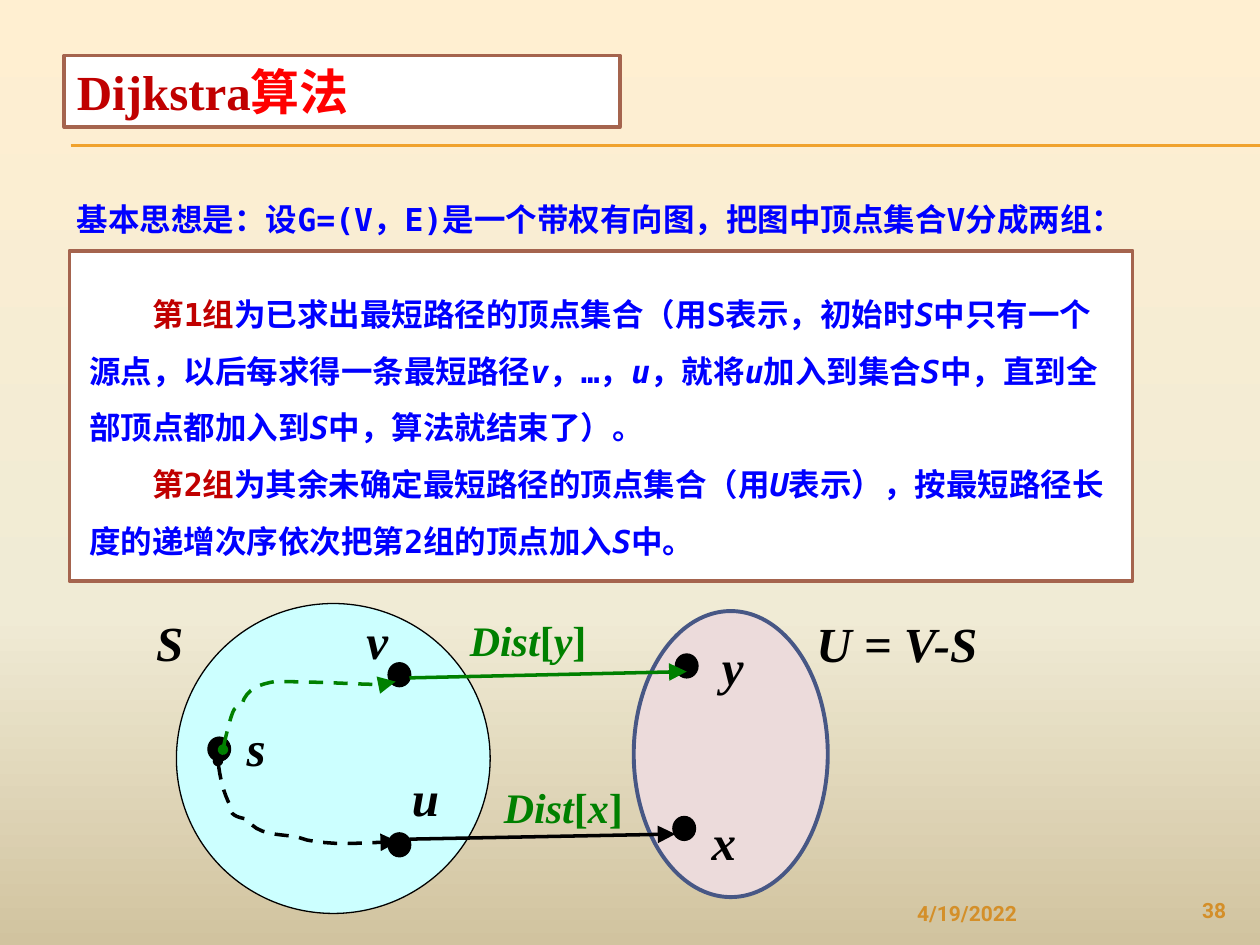
from copy import deepcopy
from dataclasses import dataclass

from pptx import Presentation
from pptx.dml.color import RGBColor
from pptx.enum.dml import MSO_LINE
from pptx.enum.shapes import MSO_CONNECTOR, MSO_SHAPE
from pptx.enum.text import MSO_ANCHOR, MSO_AUTO_SIZE, PP_ALIGN
from pptx.oxml.ns import qn
from pptx.util import Inches, Pt

WIDTH, HEIGHT = Inches(10), Inches(7.5)
COLUMNS, ROWS = 100, 75


@dataclass(frozen=True)
class Theme:
    serif: str = "Times New Roman"
    mono: str = "DejaVu Sans Mono"
    sans: str = "Roboto"
    title: int = 28
    intro: int = 18
    body: int = 18
    distance: int = 24
    footer: int = 12
    black: str = "000000"
    white: str = "FFFFFF"
    blue: str = "0000FF"
    red: str = "FF0000"
    dark_red: str = "C00000"
    green: str = "008000"
    frame: str = "A5644E"
    rule: str = "F0A22E"
    footer_color: str = "D48F29"
    solved: str = "CCFFFF"
    unsolved: str = "ECDBDB"
    unsolved_edge: str = "475785"
    background: tuple = ((0, "FFEFD1"), (0.65, "F0EBD5"), (1, "D1C39F"))


THEME = Theme()


def color(value):
    return RGBColor.from_string(value)


def across(columns):
    return round(columns * WIDTH / COLUMNS)


def down(rows):
    return round(rows * HEIGHT / ROWS)


def area(left, top, width, height):
    return across(left), down(top), across(width), down(height)


def paint_background(slide):
    fill = slide.background.fill
    fill.gradient()
    fill.gradient_angle = 270
    stop_list = slide.element.find(".//" + qn("a:gsLst"))
    stop_list.append(deepcopy(stop_list[0]))
    for stop, (position, value) in zip(fill.gradient_stops, THEME.background):
        stop.position = position
        stop.color.rgb = color(value)


def write_runs(paragraph, text, font, size, value):
    for index, part in enumerate(text.split("*")):
        if not part:
            continue
        run = paragraph.add_run()
        run.text = part
        run.font.name = font
        run.font.size = Pt(size)
        run.font.bold = True
        run.font.italic = index % 2 == 1
        run.font.color.rgb = color(value)
        east_asian = run.font._element.makeelement(qn("a:ea"), {"typeface": font})
        run.font._element.find(qn("a:latin")).addnext(east_asian)


def place_placeholder(placeholder, box, anchor=MSO_ANCHOR.TOP):
    placeholder.left, placeholder.top, placeholder.width, placeholder.height = area(*box)
    frame = placeholder.text_frame
    frame.word_wrap = True
    frame.auto_size = MSO_AUTO_SIZE.NONE
    frame.vertical_anchor = anchor
    return frame


def format_paragraph(paragraph, indent=0, spacing=1.5):
    properties = paragraph._p.get_or_add_pPr()
    properties.set("marL", "0")
    properties.set("indent", str(int(indent)))
    properties.append(properties.makeelement(qn("a:buNone"), {}))
    paragraph.alignment = PP_ALIGN.LEFT
    paragraph.space_before = Pt(0)
    paragraph.line_spacing = spacing


def frame_panel(shape):
    shape.fill.solid()
    shape.fill.fore_color.rgb = color(THEME.white)
    shape.line.color.rgb = color(THEME.frame)
    shape.line.width = Pt(2)


def add_label(slide, box, text, size=THEME.title, value=THEME.black,
              font=THEME.serif, align=PP_ALIGN.LEFT):
    frame = slide.shapes.add_textbox(*area(*box)).text_frame
    frame.word_wrap = True
    frame.vertical_anchor = MSO_ANCHOR.MIDDLE
    paragraph = frame.paragraphs[0]
    paragraph.alignment = align
    write_runs(paragraph, text, font, size, value)


def add_ellipse(slide, box, fill, edge=THEME.black, width=0.75):
    ellipse = slide.shapes.add_shape(MSO_SHAPE.OVAL, *area(*box))
    ellipse.shadow.inherit = False
    ellipse.fill.solid()
    ellipse.fill.fore_color.rgb = color(fill)
    ellipse.line.color.rgb = color(edge)
    ellipse.line.width = Pt(width)


def add_vertex(slide, left, top):
    add_ellipse(slide, (left, top, 1.8, 1.9), THEME.black)


def style_line(shape, value, width, head=None, tail=None):
    shape.line.color.rgb = color(value)
    shape.line.width = Pt(width)
    line = shape.line._get_or_add_ln()
    for tag, kind, size in (("a:headEnd", head, "med"), ("a:tailEnd", tail, "lg")):
        if kind:
            line.append(line.makeelement(qn(tag), {"type": kind, "w": size, "len": size}))


def add_line(slide, start, end, value, width, tail=None):
    connector = slide.shapes.add_connector(
        MSO_CONNECTOR.STRAIGHT, across(start[0]), down(start[1]), across(end[0]), down(end[1]))
    style_line(connector, value, width, tail=tail)
    properties = connector._element.spPr
    properties.append(properties.makeelement(qn("a:effectLst"), {}))


def bezier(points, share):
    while len(points) > 1:
        points = [tuple(a + (b - a) * share for a, b in zip(first, second))
                  for first, second in zip(points, points[1:])]
    return points[0]


def add_dashed_path(slide, points, value, steps=8):
    curve = [bezier(points[index:index + 4], step / steps)
             for index in range(0, len(points) - 1, 3) for step in range(1, steps + 1)]
    builder = slide.shapes.build_freeform(across(points[0][0]), down(points[0][1]))
    builder.add_line_segments([(across(x), down(y)) for x, y in curve], close=False)
    shape = builder.convert_to_shape()
    shape.shadow.inherit = False
    shape.fill.background()
    shape.line.dash_style = MSO_LINE.DASH
    style_line(shape, value, 2, "oval", "triangle")


def add_text(slide):
    title, intro, groups = slide.placeholders
    frame_panel(title)
    heading = place_placeholder(title, (5.1, 4.4, 44.1, 5.7), MSO_ANCHOR.MIDDLE).paragraphs[0]
    heading.alignment = PP_ALIGN.LEFT
    write_runs(heading, "Dijkstra", THEME.serif, THEME.title, THEME.dark_red)
    write_runs(heading, "算法", THEME.mono, THEME.title, THEME.red)

    paragraph = place_placeholder(intro, (5.1, 13.9, 91.3, 6.1)).paragraphs[0]
    format_paragraph(paragraph)
    write_runs(paragraph, "基本思想是：设G=(V，E)是一个带权有向图，把图中顶点集合V分成两组：",
               THEME.mono, THEME.intro, THEME.blue)

    frame_panel(groups)
    frame = place_placeholder(groups, (5.5, 19.9, 84.4, 26.2))
    frame.margin_left = frame.margin_right = across(1.6)
    frame.margin_top = frame.margin_bottom = down(2)
    descriptions = (
        ("第1组", "为已求出最短路径的顶点集合（用S表示，初始时*S*中只有一个源点，"
                "以后每求得一条最短路径*v*，…，*u*，就将*u*加入到集合*S*中，"
                "直到全部顶点都加入到*S*中，算法就结束了）。"),
        ("第2组", "为其余未确定最短路径的顶点集合（用*U*表示），"
                "按最短路径长度的递增次序依次把第2组的顶点加入*S*中。"),
    )
    for index, (lead, text) in enumerate(descriptions):
        paragraph = frame.add_paragraph() if index else frame.paragraphs[0]
        format_paragraph(paragraph, Pt(2 * THEME.body))
        write_runs(paragraph, lead, THEME.mono, THEME.body, THEME.dark_red)
        write_runs(paragraph, text, THEME.mono, THEME.body, THEME.blue)


def add_graph(slide):
    add_ellipse(slide, (50.3, 48.5, 15.4, 22.7), THEME.unsolved, THEME.unsolved_edge, 2.25)
    add_ellipse(slide, (14, 47.9, 24.9, 24.6), THEME.solved)
    for left, top in ((30.8, 52.6), (16.5, 58.5), (30.8, 66.1), (53.4, 64.8), (53.6, 51.9)):
        add_vertex(slide, left, top)
    add_dashed_path(slide, [
        (17.7, 59.5), (17.8, 59), (18.3, 56.7), (18.6, 56.3), (18.8, 56.1), (19, 56),
        (19.2, 55.9), (19.6, 54.6), (20.7, 54.3), (21.8, 54.1), (24.2, 54.1), (26.5, 54.2),
        (28.8, 54.3), (30.2, 54.3), (30.4, 54.6), (31.4, 54.1)], THEME.green)
    add_dashed_path(slide, [
        (17.3, 60.4), (17.5, 61.9), (17.7, 62.8), (18.3, 64), (18.4, 64.2), (18.3, 64.5),
        (18.5, 64.6), (18.8, 64.9), (19.6, 65), (19.6, 65), (20.4, 66.3), (22.2, 66.2),
        (23.5, 66.4), (25.7, 67.3), (29.7, 66.8), (31.6, 66.8)], THEME.black)
    add_line(slide, (32.5, 53.8), (54.5, 53.3), THEME.green, 2, "triangle")
    add_line(slide, (32.5, 66.6), (53.6, 66.2), THEME.black, 2, "triangle")
    for text, left, top, width in (
            ("*s*", 18.6, 56.4, 6.2), ("*u*", 31.7, 60.4, 4.5), ("*v*", 28.1, 47.9, 4.5),
            ("*y*", 56.3, 50, 7.1), ("*x*", 55.5, 63.9, 7.1),
            ("*S*", 11.4, 48.1, 8.7), ("*U = V-S*", 63.8, 48.2, 16.2)):
        add_label(slide, (left, top, width, 5.7), text)
    for text, left, top in (("*Dist*[*y*]", 36.3, 48.2), ("*Dist*[*x*]", 39, 61.5)):
        add_label(slide, (left, top, 12.9, 5.1), text, THEME.distance, THEME.green)


def add_footer(slide):
    for text, box, align in (("4/19/2022", (71.8, 70.9, 27.5, 3.2), PP_ALIGN.LEFT),
                             ("38", (90, 70.9, 8.3, 2.7), PP_ALIGN.RIGHT)):
        add_label(slide, box, text, THEME.footer, THEME.footer_color, THEME.sans, align)


def main():
    presentation = Presentation()
    presentation.slide_width, presentation.slide_height = WIDTH, HEIGHT
    slide = presentation.slides.add_slide(presentation.slide_layouts[3])
    paint_background(slide)
    for row in (11.5, 11.6):
        add_line(slide, (5.6, row), (COLUMNS, row), THEME.rule, 0.75)
    add_text(slide)
    add_graph(slide)
    add_footer(slide)
    presentation.save("out.pptx")


if __name__ == "__main__":
    main()
